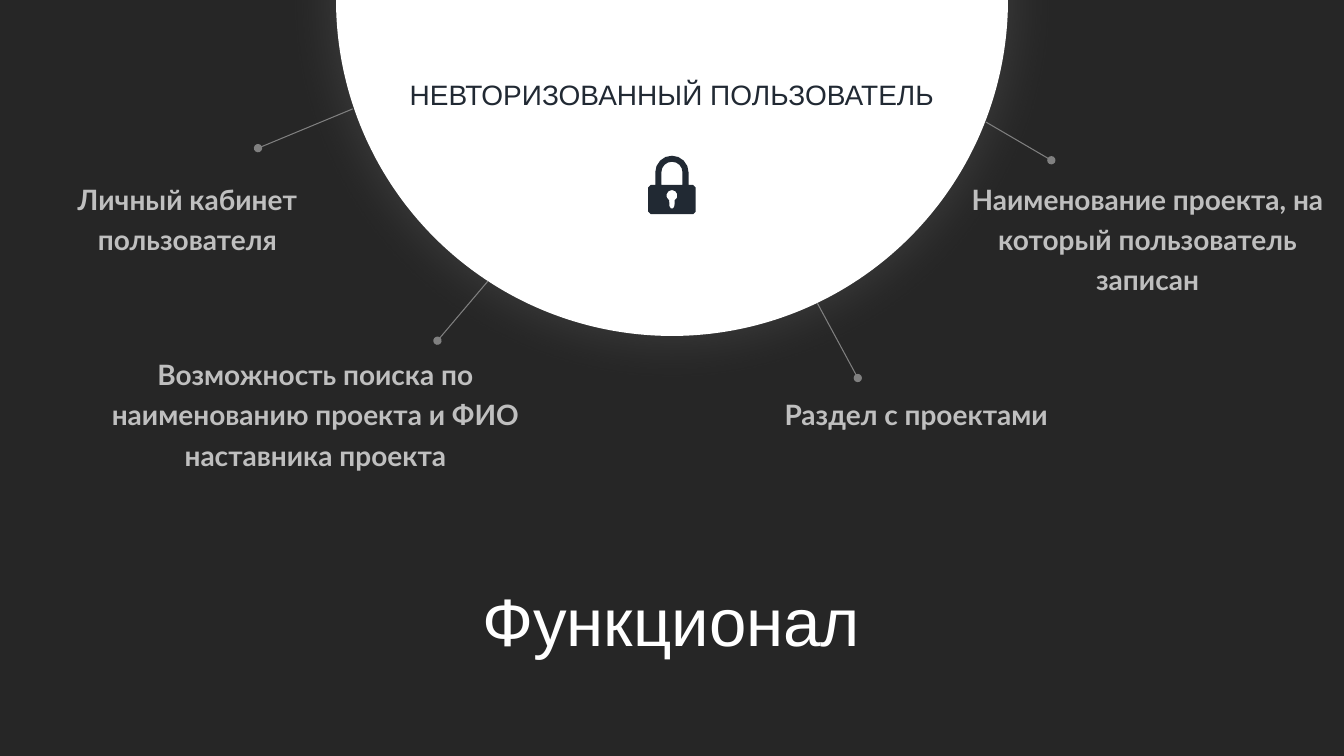
from dataclasses import dataclass
from math import cos, radians, sin

from lxml import etree
from pptx import Presentation
from pptx.dml.color import RGBColor
from pptx.enum.shapes import MSO_CONNECTOR, MSO_SHAPE
from pptx.enum.text import MSO_AUTO_SIZE, PP_ALIGN
from pptx.oxml.ns import qn
from pptx.util import Inches, Pt

CENTER = PP_ALIGN.CENTER
FIT_SHAPE = MSO_AUTO_SIZE.SHAPE_TO_FIT_TEXT
OVAL = MSO_SHAPE.OVAL
STRAIGHT = MSO_CONNECTOR.STRAIGHT

SLIDE_WIDTH = 40 / 3
SLIDE_HEIGHT = 7.5


@dataclass(frozen=True)
class Theme:
    background: str = "262626"
    white: str = "FFFFFF"
    dark: str = "212933"
    gray: str = "808080"
    label: str = "BFBFBF"
    heading_font: str = "Arial"
    label_font: str = "Lato"
    title_size: int = 48
    text_size: int = 20
    line_width: float = 0.75


THEME = Theme()

# Label text, its box, and the leader line from the circle to the dot
FEATURES = [
    ("Личный кабинет пользователя",
     (0.08, 1.69, 3.56, 0.87), (3.5, 1.08), (2.56, 1.47)),
    ("Наименование проекта, на который пользователь записан",
     (9.46, 1.69, 3.85, 1.28), (9.78, 1.21), (10.43, 1.59)),
    ("Возможность поиска по наименованию проекта и ФИО наставника проекта",
     (0.95, 3.43, 4.36, 1.28), (4.84, 2.79), (4.34, 3.38)),
    ("Раздел с проектами",
     (7.63, 3.83, 2.92, 0.47), (8.11, 3.01), (8.51, 3.75)),
]


def color(value):
    return RGBColor.from_string(value)


def add_text(slide, text, box, font_name, size, text_color,
             bold=False, line_spacing=None, wrap=True):
    shape = slide.shapes.add_textbox(*map(Inches, box))
    frame = shape.text_frame
    frame.word_wrap = wrap
    frame.auto_size = FIT_SHAPE
    paragraph = frame.paragraphs[0]
    paragraph.alignment = CENTER
    if line_spacing:
        paragraph.line_spacing = line_spacing
    run = paragraph.add_run()
    run.text = text
    run.font.name = font_name
    run.font.size = Pt(size)
    run.font.bold = bold
    run.font.color.rgb = color(text_color)


def add_glow_circle(slide, center_x, center_y, radius):
    circle = slide.shapes.add_shape(
        OVAL, Inches(center_x - radius), Inches(center_y - radius),
        Inches(2 * radius), Inches(2 * radius))
    circle.fill.solid()
    circle.fill.fore_color.rgb = color(THEME.white)
    circle.line.fill.background()
    # Soft shadow spreading evenly on all sides
    effects = etree.SubElement(circle._element.spPr, qn("a:effectLst"))
    shadow = etree.SubElement(
        effects, qn("a:outerShdw"), blurRad=str(Pt(40)), dist="0", dir="0",
        algn="ctr", rotWithShape="0")
    tint = etree.SubElement(shadow, qn("a:srgbClr"), val=THEME.gray)
    etree.SubElement(tint, qn("a:alpha"), val="30000")


def add_leader(slide, start, end):
    leader = slide.shapes.add_connector(
        STRAIGHT, *map(Inches, (*start, *end)))
    leader.line.color.rgb = color(THEME.gray)
    leader.line.width = Pt(THEME.line_width)
    etree.SubElement(leader.line._get_or_add_ln(), qn("a:tailEnd"), type="oval")
    etree.SubElement(leader._element.spPr, qn("a:effectLst"))


def arc(center_x, center_y, radius, start, end, steps):
    angles = [radians(start + (end - start) * step / steps)
              for step in range(steps + 1)]
    return [(center_x + radius * cos(angle), center_y + radius * sin(angle))
            for angle in angles]


def add_padlock(slide, middle):
    left, right = middle - 0.21, middle + 0.21
    outline = [
        *arc(left, 2.1, 0.025, 90, 180, 1),
        *arc(left, 1.86, 0.025, 180, 270, 1),
        *arc(middle, 1.71, 0.165, 180, 360, 8),
        (middle + 0.165, 1.835),
        *arc(right, 1.86, 0.025, 270, 360, 1),
        *arc(right, 2.1, 0.025, 0, 90, 1),
    ]
    outline.insert(4, (middle - 0.165, 1.835))
    shackle_gap = [(middle + 0.105, 1.835), (middle - 0.105, 1.835),
                   *arc(middle, 1.71, 0.105, 180, 360, 8)]
    keyhole = [*arc(middle, 1.94, 0.055, 120, 420, 8),
               *arc(middle, 2.045, 0.025, 0, 180, 3)]

    builder = slide.shapes.build_freeform(*map(Inches, outline[0]))
    for contour in (outline, shackle_gap, keyhole):
        points = [(Inches(x), Inches(y)) for x, y in contour]
        if contour is not outline:
            builder.move_to(*points[0])
        builder.add_line_segments(points[1:], close=True)
    padlock = builder.convert_to_shape()
    padlock.shadow.inherit = False
    padlock.fill.solid()
    padlock.fill.fore_color.rgb = color(THEME.dark)
    padlock.line.fill.background()


def main():
    presentation = Presentation()
    presentation.slide_width = Inches(SLIDE_WIDTH)
    presentation.slide_height = Inches(SLIDE_HEIGHT)
    slide = presentation.slides.add_slide(presentation.slide_layouts[6])
    slide.background.fill.solid()
    slide.background.fill.fore_color.rgb = color(THEME.background)

    # Circle with the user type
    add_glow_circle(slide, SLIDE_WIDTH / 2, 0, SLIDE_WIDTH / 4)
    add_padlock(slide, SLIDE_WIDTH / 2)
    add_text(slide, "НЕВТОРИЗОВАННЫЙ ПОЛЬЗОВАТЕЛЬ", (3.94, 0.72, 5.45, 0.44),
             THEME.heading_font, THEME.text_size, THEME.dark, wrap=False)

    # Features around the circle
    for text, box, start, end in FEATURES:
        add_leader(slide, start, end)
        add_text(slide, text, box, THEME.label_font, THEME.text_size,
                 THEME.label, bold=True, line_spacing=1.2)

    # Slide title
    add_text(slide, "Функционал", (1.94, 5.7, 9.44, 0.91),
             THEME.heading_font, THEME.title_size, THEME.white)

    presentation.save("out.pptx")


if __name__ == "__main__":
    main()
